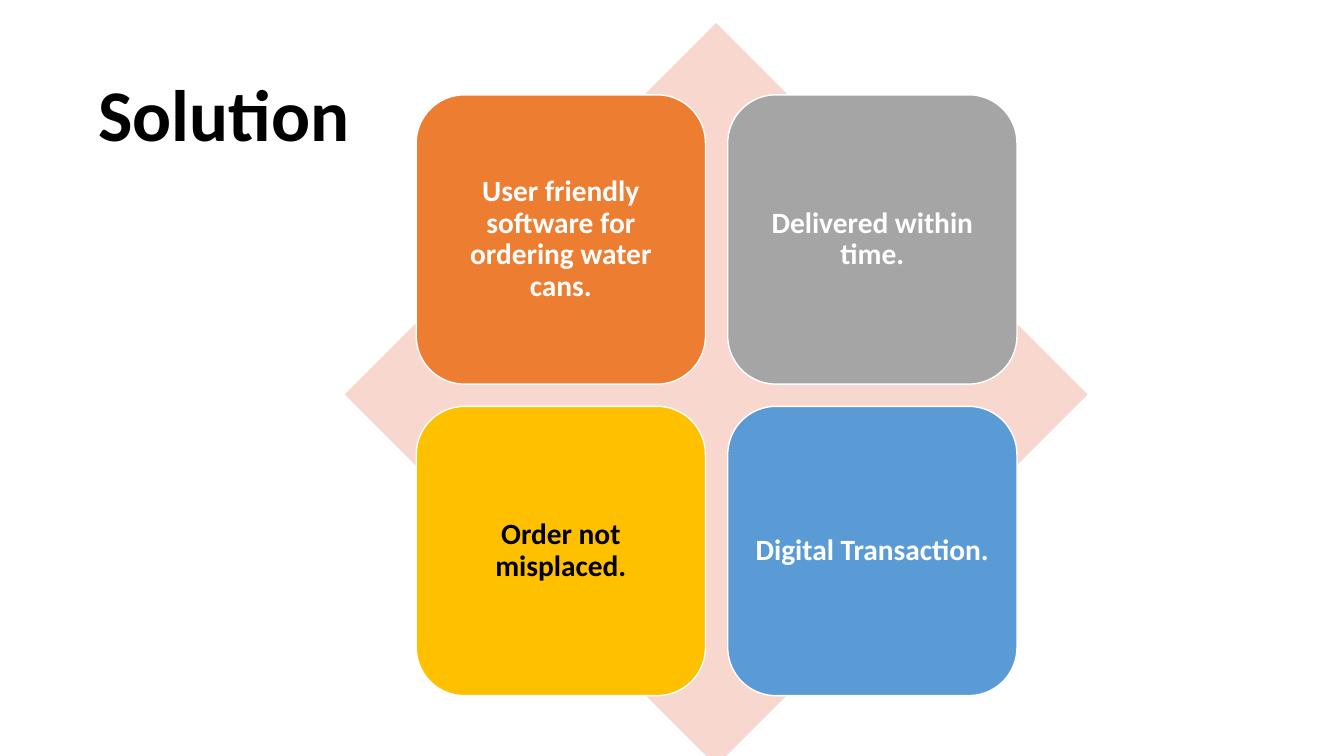
from dataclasses import dataclass

from pptx import Presentation
from pptx.dml.color import RGBColor
from pptx.enum.shapes import MSO_SHAPE
from pptx.enum.text import MSO_ANCHOR, MSO_AUTO_SIZE, PP_ALIGN
from pptx.shapes.autoshape import Shape
from pptx.slide import Slide
from pptx.text.text import TextFrame
from pptx.util import Cm, Pt

FONT = "Calibri"
BLACK = RGBColor(0x00, 0x00, 0x00)
WHITE = RGBColor(0xFF, 0xFF, 0xFF)
PINK = RGBColor(0xF8, 0xD7, 0xCE)
ORANGE = RGBColor(0xED, 0x7D, 0x31)
GRAY = RGBColor(0xA5, 0xA5, 0xA5)
GOLD = RGBColor(0xFF, 0xC0, 0x00)
BLUE = RGBColor(0x5B, 0x9B, 0xD5)

# Two-by-two grid, in centimetres
GRID_LEFT, GRID_TOP = 10.49, 2.39
CARD_SIZE, CARD_PITCH = 7.29, 7.85
DIAMOND_LEFT, DIAMOND_TOP, DIAMOND_SIZE = 8.69, 0.58, 18.72


@dataclass(frozen=True)
class Benefit:
    text: str
    fill: RGBColor
    text_color: RGBColor = WHITE


BENEFITS = [
    Benefit("User friendly software for ordering water cans.", ORANGE),
    Benefit("Delivered within time.", GRAY),
    Benefit("Order not misplaced.", GOLD, BLACK),
    Benefit("Digital Transaction.", BLUE),
]


def write_text(frame: TextFrame, text: str, size: float, color: RGBColor) -> None:
    frame.text = text
    frame.word_wrap = True
    frame.auto_size = MSO_AUTO_SIZE.NONE
    frame.vertical_anchor = MSO_ANCHOR.MIDDLE
    paragraph = frame.paragraphs[0]
    paragraph.alignment = PP_ALIGN.CENTER
    paragraph.line_spacing = 0.9
    paragraph.font.name = FONT
    paragraph.font.size = Pt(size)
    paragraph.font.bold = True
    paragraph.font.color.rgb = color


def add_square(slide: Slide, kind: MSO_SHAPE, left: float, top: float,
               size: float, fill: RGBColor) -> Shape:
    square = slide.shapes.add_shape(kind, Cm(left), Cm(top), Cm(size), Cm(size))
    square.shadow.inherit = False
    square.fill.solid()
    square.fill.fore_color.rgb = fill
    square.line.fill.background()
    return square


def add_benefit(slide: Slide, benefit: Benefit, row: int, column: int) -> None:
    card = add_square(slide, MSO_SHAPE.ROUNDED_RECTANGLE,
                      GRID_LEFT + column * CARD_PITCH,
                      GRID_TOP + row * CARD_PITCH, CARD_SIZE, benefit.fill)
    card.line.color.rgb = WHITE
    card.line.width = Pt(1)
    frame = card.text_frame
    frame.margin_left = frame.margin_right = Cm(0.23)
    frame.margin_top = frame.margin_bottom = Cm(0.23)
    write_text(frame, benefit.text, 21, benefit.text_color)


def main() -> None:
    deck = Presentation()
    deck.slide_width, deck.slide_height = Cm(33.87), Cm(19.05)
    slide = deck.slides.add_slide(deck.slide_layouts[5])

    # Title
    title = slide.shapes.title
    title.left, title.top = Cm(-8.76), Cm(1.4)
    title.width, title.height = Cm(29.21), Cm(3.15)
    write_text(title.text_frame, "Solution ", 52, BLACK)

    # Diamond behind the cards
    add_square(slide, MSO_SHAPE.DIAMOND, DIAMOND_LEFT, DIAMOND_TOP,
               DIAMOND_SIZE, PINK)

    # Benefit cards
    for index, benefit in enumerate(BENEFITS):
        row, column = divmod(index, 2)
        add_benefit(slide, benefit, row, column)

    deck.save("out.pptx")


if __name__ == "__main__":
    main()
